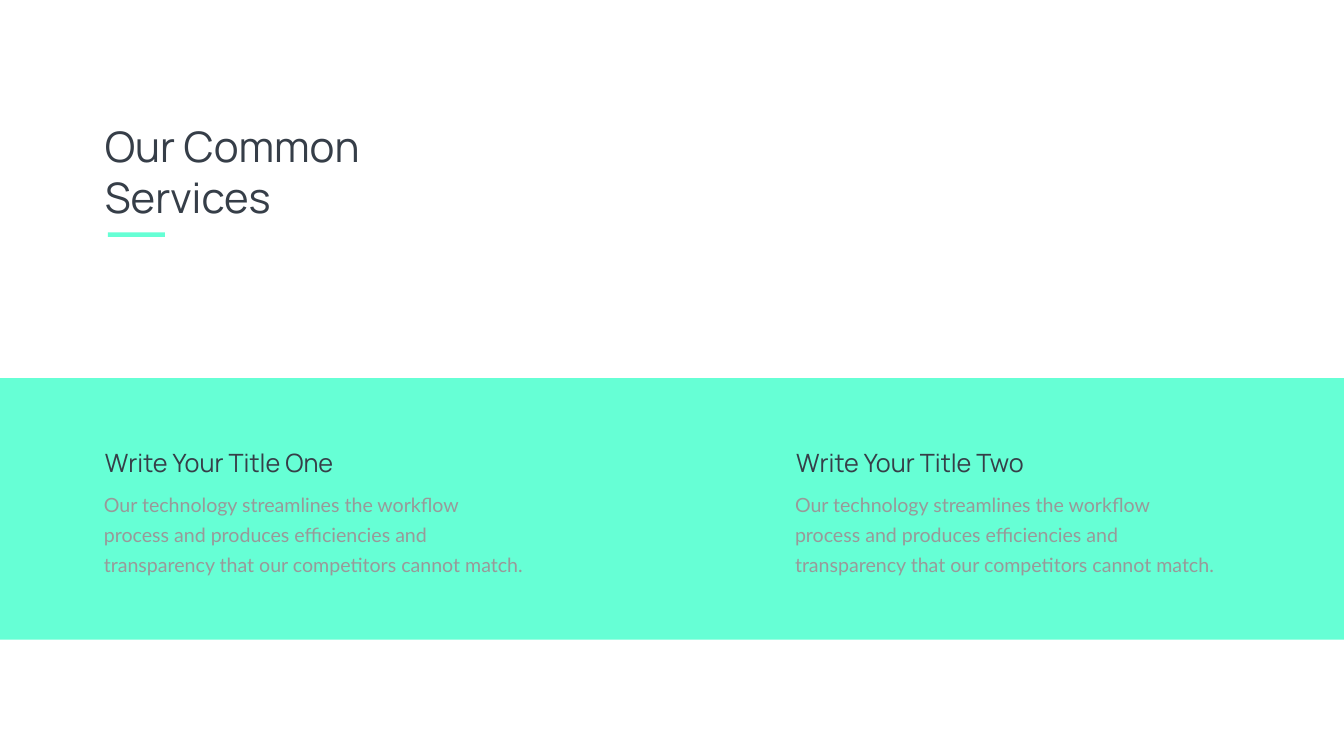
from pptx import Presentation
from pptx.dml.color import RGBColor
from pptx.enum.shapes import MSO_SHAPE
from pptx.enum.text import MSO_ANCHOR, MSO_AUTO_SIZE, PP_ALIGN
from pptx.oxml.xmlchemy import OxmlElement
from pptx.util import Pt

WHITE = RGBColor(0xFF, 0xFF, 0xFF)
MINT = RGBColor(0x66, 0xFF, 0xD5)
SLATE = RGBColor(0x36, 0x3E, 0x48)
GRAY = RGBColor(0x99, 0x99, 0x99)

SLIDE_WIDTH, SLIDE_HEIGHT = 1919.52, 1080
COMPARISON_LAYOUT = 4
TEXT_LEFT = 142.56
COLUMN_PITCH = 987.12
SERVICES = ("Write Your Title One", "Write Your Title Two")
DESCRIPTION = (
    "Our technology streamlines the workflow process and produces "
    "efficiencies and transparency that our competitors cannot match."
)


class SlideBuilder:
    heading_font = "Manrope"
    body_font = "Lato"

    def __init__(self, slide):
        self.slide = slide
        self.placeholders = iter(list(slide.placeholders))
        background = slide.background.fill
        background.solid()
        background.fore_color.rgb = WHITE

    def bar(self, left, top, width, height):
        shape = self.slide.shapes.add_shape(
            MSO_SHAPE.RECTANGLE, Pt(left), Pt(top), Pt(width), Pt(height)
        )
        shape.shadow.inherit = False
        shape.fill.solid()
        shape.fill.fore_color.rgb = MINT
        shape.line.fill.background()
        self.slide.shapes.title.element.addprevious(shape.element)

    def text(self, text, left, top, width, height, font_name, size, color):
        shape = next(self.placeholders)
        shape.left, shape.top = Pt(left), Pt(top)
        shape.width, shape.height = Pt(width), Pt(height)
        frame = shape.text_frame
        frame.text = text
        frame.word_wrap = True
        frame.auto_size = MSO_AUTO_SIZE.SHAPE_TO_FIT_TEXT
        frame.vertical_anchor = MSO_ANCHOR.TOP
        paragraph = frame.paragraphs[0]
        paragraph.alignment = PP_ALIGN.LEFT
        paragraph.space_before = Pt(0)
        font = paragraph.runs[0].font
        font.name = font_name
        font.size = Pt(size)
        font.bold = False
        font.color.rgb = color
        return frame

    def heading(self, text, left, top, width, height, size):
        self.text(text, left, top, width, height, self.heading_font, size, SLATE)

    def description(self, text, left, top, width, height):
        frame = self.text(text, left, top, width, height, self.body_font, 28, GRAY)
        frame.margin_left = frame.margin_right = Pt(17.28)
        frame.margin_top = frame.margin_bottom = Pt(8.64)
        paragraph = frame.paragraphs[0]
        paragraph.line_spacing = Pt(43)
        properties = paragraph.runs[0].font._element.getparent().getparent().get_or_add_pPr()
        properties.set("marL", "0")
        properties.set("indent", "0")
        properties.append(OxmlElement("a:buNone"))


def main():
    presentation = Presentation()
    presentation.slide_width = Pt(SLIDE_WIDTH)
    presentation.slide_height = Pt(SLIDE_HEIGHT)
    layout = presentation.slide_layouts[COMPARISON_LAYOUT]
    builder = SlideBuilder(presentation.slides.add_slide(layout))

    builder.bar(0, 540, SLIDE_WIDTH, 373.68)
    builder.bar(154, 332, 81.36, 6.5)
    builder.heading("Our Common Services", TEXT_LEFT, 169.2, 454.32, 152.64, 60)
    for column, service in enumerate(SERVICES):
        left = TEXT_LEFT + column * COLUMN_PITCH
        builder.heading(service, left, 635, 589.68, 51, 36)
        builder.description(DESCRIPTION, left - 11.52, 685.44, 640, 142.56)

    presentation.save("out.pptx")


if __name__ == "__main__":
    main()
